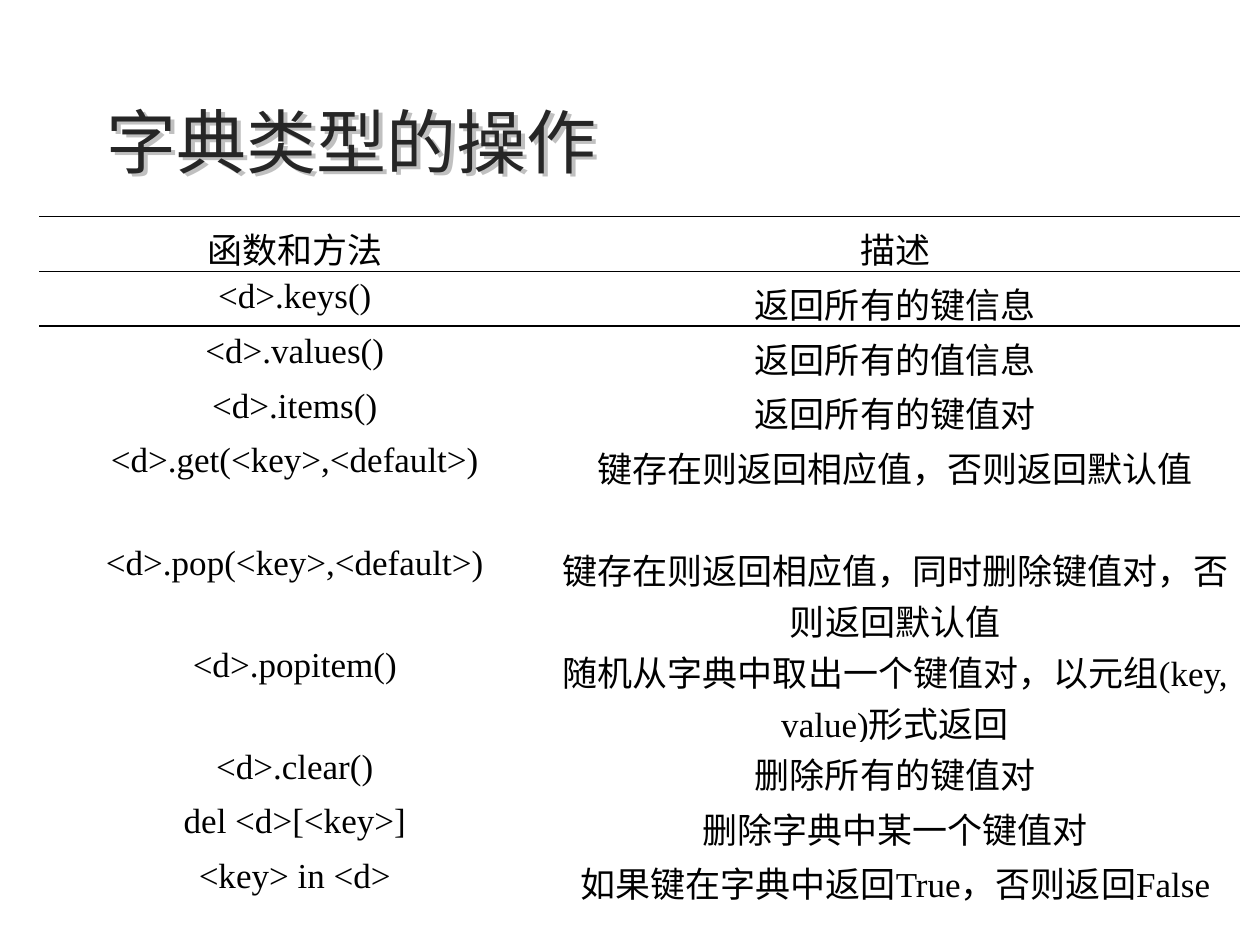
from dataclasses import dataclass

from lxml.etree import SubElement
from pptx import Presentation
from pptx.dml.color import RGBColor
from pptx.enum.text import MSO_AUTO_SIZE, PP_ALIGN
from pptx.oxml import parse_xml
from pptx.oxml.ns import nsdecls, qn
from pptx.util import Inches, Pt


@dataclass(frozen=True)
class Theme:
    title_color: str = "262626"
    text_color: str = "000000"
    fill_color: str = "FFFFFF"
    shadow_color: str = "C0C0C0"
    title_size: int = 40
    text_size: int = 20
    rule_width: float = 0.75
    chinese_font: str = "Noto Sans CJK SC"
    header_font: str = "Calibri"
    body_font: str = "Times New Roman"


THEME = Theme()

HEADER = ("函数和方法", "描述")
OPERATIONS = [
    ("<d>.keys()", "返回所有的键信息"),
    ("<d>.values()", "返回所有的值信息"),
    ("<d>.items()", "返回所有的键值对"),
    ("<d>.get(<key>,<default>)", "键存在则返回相应值，否则返回默认值"),
    ("<d>.pop(<key>,<default>)", "键存在则返回相应值，同时删除键值对，否则返回默认值"),
    ("<d>.popitem()", "随机从字典中取出一个键值对，以元组(key, value)形式返回"),
    ("<d>.clear()", "删除所有的键值对"),
    ("del <d>[<key>]", "删除字典中某一个键值对"),
    ("<key> in <d>", "如果键在字典中返回True，否则返回False"),
]
COLUMN_WIDTHS = (4.06, 5.47)
SINGLE_ROW, DOUBLE_ROW = 0.43, 0.81
DOUBLE_ROWS = {4, 5, 6, 9}
PLAIN_TABLE_STYLE = "{2D5ABB26-0587-4C30-8999-92F81FD0307C}"


def apply_format(target, values):
    for name, value in values.items():
        setattr(target, name, value)


def write_text(para, text, font, size, color):
    span = para.add_run()
    span.text = text
    apply_format(span.font, {"name": font, "size": Pt(size), "bold": False})
    span.font.color.rgb = RGBColor.from_string(color)
    east_asian = SubElement(span.font._element, qn("a:ea"))
    east_asian.set("typeface", THEME.chinese_font)


def add_text_shadow(box):
    """Give an unfilled box a shadow, which then falls from its text."""
    box._element.spPr.append(parse_xml(
        f'<a:effectLst {nsdecls("a")}><a:outerShdw dist="38100" dir="2700000">'
        f'<a:srgbClr val="{THEME.shadow_color}"/></a:outerShdw></a:effectLst>'
    ))


def add_title(page, text):
    box = page.shapes.add_textbox(Inches(0.75), Inches(0.73), Inches(4.15), Inches(0.77))
    apply_format(box.text_frame, {
        "word_wrap": False,
        "auto_size": MSO_AUTO_SIZE.SHAPE_TO_FIT_TEXT,
    })
    para = box.text_frame.paragraphs[0]
    write_text(para, text, THEME.chinese_font, THEME.title_size, THEME.title_color)
    add_text_shadow(box)


def add_rules(cell, sides):
    """Draw thin lines on the given sides, listed in the order T, B."""
    for index, side in enumerate(sides):
        line = parse_xml(
            f'<a:ln{side} {nsdecls("a")} w="{Pt(THEME.rule_width)}"><a:solidFill>'
            f'<a:srgbClr val="{THEME.text_color}"/></a:solidFill></a:ln{side}>'
        )
        cell._tc.get_or_add_tcPr().insert(index, line)


def fill_cell(cell, text, font):
    apply_format(cell, {
        "margin_left": Inches(0.08),
        "margin_right": Inches(0.08),
        "margin_top": Inches(0.05),
        "margin_bottom": Inches(0.05),
    })
    cell.fill.solid()
    cell.fill.fore_color.rgb = RGBColor.from_string(THEME.fill_color)
    para = cell.text_frame.paragraphs[0]
    para.alignment = PP_ALIGN.CENTER
    write_text(para, text, font, THEME.text_size, THEME.text_color)


def add_operations_table(page):
    rows = [HEADER, *OPERATIONS]
    rules = {0: "TB", 1: "T", len(rows) - 1: "B"}
    table = page.shapes.add_table(
        len(rows), len(HEADER), Inches(0.31), Inches(1.72),
        Inches(sum(COLUMN_WIDTHS)), Inches(5.67),
    ).table
    apply_format(table, {"first_row": False, "horz_banding": False})
    table._tbl.tblPr.find(qn("a:tableStyleId")).text = PLAIN_TABLE_STYLE
    for column, width in zip(table.columns, COLUMN_WIDTHS):
        column.width = Inches(width)
    for row_index, texts in enumerate(rows):
        height = DOUBLE_ROW if row_index in DOUBLE_ROWS else SINGLE_ROW
        table.rows[row_index].height = Inches(height)
        font = THEME.body_font if row_index else THEME.header_font
        for column_index, text in enumerate(texts):
            cell = table.cell(row_index, column_index)
            fill_cell(cell, text, font)
            add_rules(cell, rules.get(row_index, ""))


def main():
    deck = Presentation()
    apply_format(deck, {"slide_width": Inches(10), "slide_height": Inches(7.5)})
    page = deck.slides.add_slide(deck.slide_layouts[6])
    add_title(page, "字典类型的操作")
    add_operations_table(page)
    deck.save("out.pptx")


if __name__ == "__main__":
    main()
